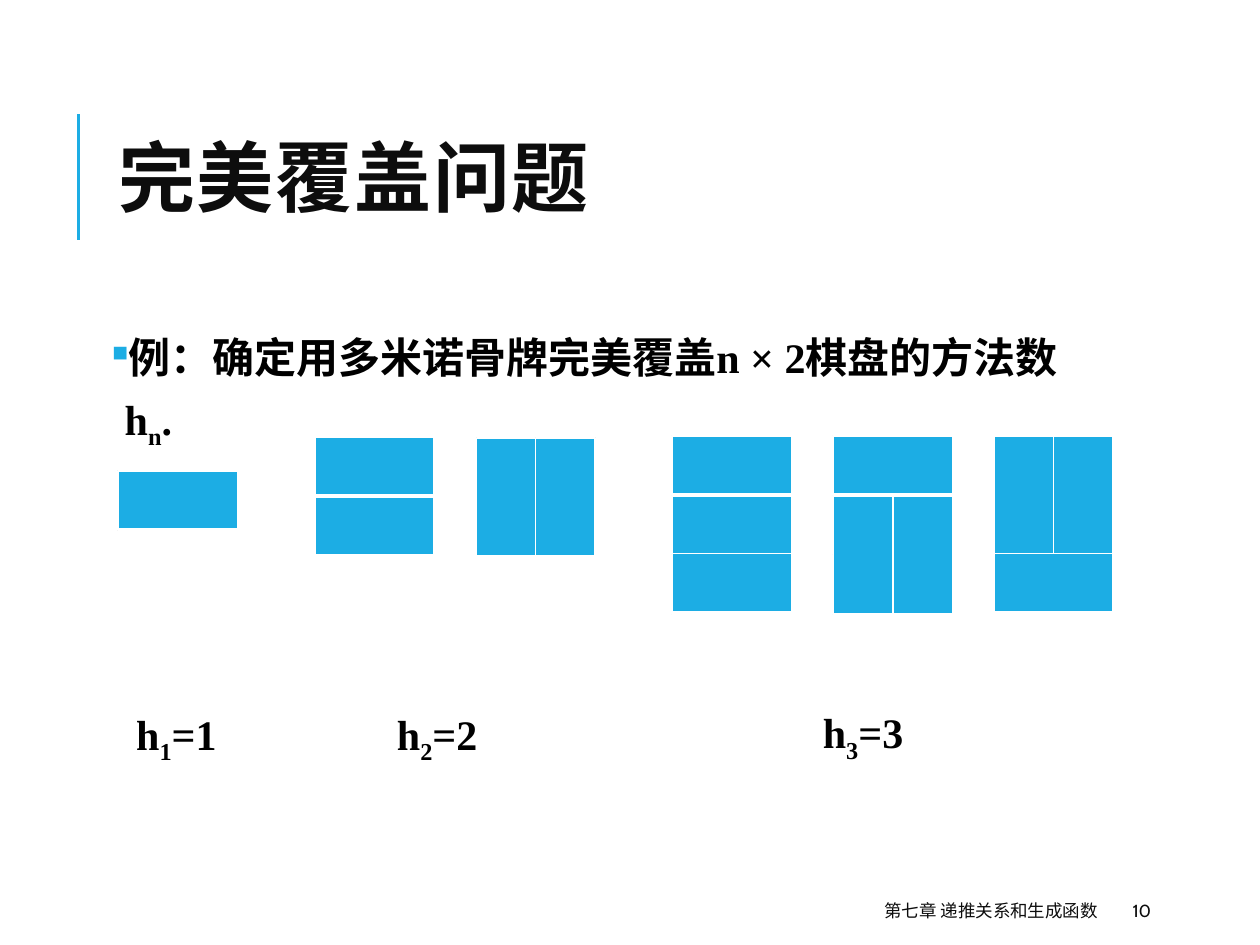
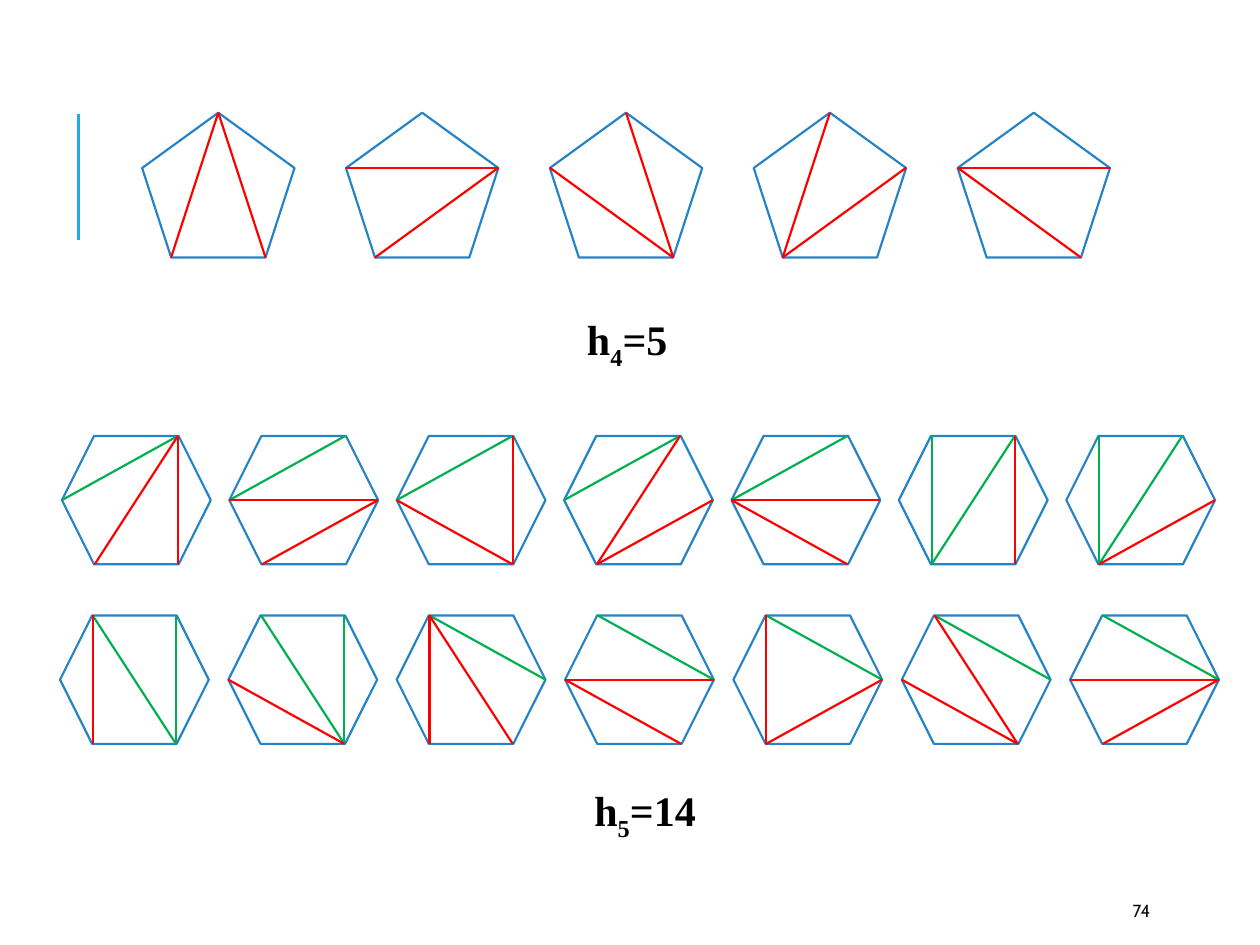
from dataclasses import dataclass
from typing import NamedTuple

from lxml.etree import SubElement
from pptx import Presentation
from pptx.dml.color import RGBColor
from pptx.enum.lang import MSO_LANGUAGE_ID
from pptx.enum.shapes import MSO_CONNECTOR, MSO_SHAPE
from pptx.enum.text import MSO_ANCHOR, PP_ALIGN
from pptx.oxml.ns import qn
from pptx.util import Pt


# Theme
@dataclass(frozen=True)
class Theme:
    accent: str = "1CADE4"
    outline: str = "2683C6"
    board: str = "DFE3E5"
    red: str = "FF0000"
    green: str = "00B050"
    black: str = "000000"
    ink: str = "0D0D0D"
    white: str = "FFFFFF"
    heading_font: str = "Cabin"
    body_font: str = "Times New Roman"
    title_size: float = 44
    body_size: float = 24
    footer_size: float = 10
    line_width: float = 1.25
    rail_width: float = 1.5


THEME = Theme()


class Box(NamedTuple):
    left: float
    top: float
    width: float
    height: float

    def lengths(self) -> list:
        return [Pt(v) for v in self]


class Formula(NamedTuple):
    base: str
    sub: str
    rest: str


class Tile(NamedTuple):
    row: int
    col: int
    upright: bool


class Board(NamedTuple):
    left: float
    top: float
    rows: int
    tiles: tuple[Tile, ...]


class Polygon(NamedTuple):
    shape: MSO_SHAPE
    width: float
    height: float
    corners: tuple[tuple[float, float], ...]  # as fractions of the box


class Cut(NamedTuple):
    """One triangulation: pairs of corner numbers for each colour."""
    green: tuple[str, ...]
    red: tuple[str, ...]


class CutRow(NamedTuple):
    polygon: Polygon
    left: float
    top: float
    pitch: float
    cuts: tuple[Cut, ...]


# Text
def add_text_box(s, box: Box, inset: float | None = None, middle: bool = False):
    tf = s.shapes.add_textbox(*box.lengths()).text_frame
    tf.word_wrap = True
    if middle:
        tf.vertical_anchor = MSO_ANCHOR.MIDDLE
    if inset is not None:
        tf.margin_left = tf.margin_right = Pt(inset)
        tf.margin_top = tf.margin_bottom = Pt(inset)
    return tf


def style_run(r, font: str, size: float, color: str, bold: bool = False) -> None:
    r.font.name = font
    r.font.size = Pt(size)
    r.font.bold = bold
    r.font.color.rgb = RGBColor.from_string(color)
    r.font.language_id = MSO_LANGUAGE_ID.SIMPLIFIED_CHINESE


def write_formula(p, formula: Formula) -> None:
    for part in formula:
        r = p.add_run()
        r.text = part
        style_run(r, THEME.body_font, THEME.body_size, THEME.black, bold=True)
        if part is formula.sub:
            r.font._element.set("baseline", "-25000")


def space_body(p) -> None:
    p.line_spacing = 1.2
    p.space_before = Pt(18)
    p.space_after = Pt(2)


def add_title(s, text: str) -> None:
    tf = add_text_box(s, Box(60.5, 46.1, 573.8, 118.1), middle=True)
    tf.text = text
    p = tf.paragraphs[0]
    p.line_spacing = 0.8
    r = p.runs[0]
    style_run(r, THEME.heading_font, THEME.title_size, THEME.ink, bold=True)
    r.font._element.set("spc", "100")


def add_statement(s, formula: Formula) -> None:
    tf = add_text_box(s, Box(60.5, 180, 573.8, 42.5), inset=3.6)
    p = tf.paragraphs[0]
    space_body(p)
    pPr = p._p.get_or_add_pPr()
    pPr.set("marL", str(Pt(7.2)))
    pPr.set("indent", str(Pt(-7.2)))
    color = SubElement(pPr, qn("a:buClr"))
    SubElement(color, qn("a:srgbClr"), val=THEME.accent)
    SubElement(pPr, qn("a:buSzPct"), val="52000")
    SubElement(pPr, qn("a:buChar"), char="■")
    write_formula(p, formula)


def add_footer_text(s, box: Box, text: str, align: PP_ALIGN) -> None:
    tf = add_text_box(s, box, middle=True)
    tf.text = text
    p = tf.paragraphs[0]
    p.alignment = align
    style_run(p.runs[0], THEME.heading_font, THEME.footer_size, THEME.ink)


# Lines and shared frame
def add_line(s, start: tuple[float, float], end: tuple[float, float],
             color: str, width: float) -> None:
    c = s.shapes.add_connector(MSO_CONNECTOR.STRAIGHT,
                               *(Pt(v) for v in (*start, *end)))
    c.line.color.rgb = RGBColor.from_string(color)
    c.line.width = Pt(width)
    SubElement(c._element.spPr, qn("a:effectLst"))


def new_slide(prs, number: str):
    s = prs.slides.add_slide(prs.slide_layouts[6])
    add_line(s, (44.9, 137), (44.9, 65), THEME.accent, THEME.rail_width)
    add_footer_text(s, Box(640.1, 509.5, 57.6, 21.6), number, PP_ALIGN.LEFT)
    return s


# Boards are grey grids; each domino on them is a single-cell table
CELL = 34.02
ROW_OFFSETS = (0, 34.3, 67.2)


def add_grid(s, box: Box, rows: int, cols: int, fill: str, border: str,
             bottom_width: float) -> None:
    table = s.shapes.add_table(rows, cols, *box.lengths()).table
    table.first_row = table.horz_banding = False
    for cell in table.iter_cells():
        tcPr = cell._tc.get_or_add_tcPr()
        for side in "LRTB":
            width = bottom_width if side == "B" else 1
            ln = SubElement(tcPr, qn(f"a:ln{side}"), w=str(Pt(width)))
            solid = SubElement(ln, qn("a:solidFill"))
            SubElement(solid, qn("a:srgbClr"), val=border)
        cell.fill.solid()
        cell.fill.fore_color.rgb = RGBColor.from_string(fill)


def add_board(s, board: Board) -> None:
    box = Box(board.left, board.top, 2 * CELL, board.rows * CELL)
    add_grid(s, box, board.rows, 2, THEME.board, THEME.black, 1)
    for tile in board.tiles:
        width, height = (CELL, 2 * CELL) if tile.upright else (2 * CELL, CELL)
        box = Box(board.left + tile.col * CELL,
                  board.top + ROW_OFFSETS[tile.row], width, height)
        add_grid(s, box, 1, 1, THEME.accent, THEME.white, 3)


def flat(row: int) -> tuple[Tile, ...]:
    return (Tile(row, 0, False),)


def pair(row: int) -> tuple[Tile, ...]:
    return Tile(row, 0, True), Tile(row, 1, True)


BOARDS = (
    Board(67.7, 269.1, 1, flat(0)),
    Board(180, 249.8, 2, flat(0) + flat(1)),
    Board(272, 250.5, 2, pair(0)),
    Board(384.3, 249.1, 3, flat(0) + flat(1) + flat(2)),
    Board(476.3, 249.1, 3, flat(0) + pair(1)),
    Board(568.1, 249.1, 3, pair(0) + flat(2)),
)
BOARD_LABELS = (
    (74.2, 394.6, Formula("h", "1", "=1")),
    (223.2, 394.6, Formula("h", "2", "=2")),
    (466.6, 393.8, Formula("h", "3", "=3")),
)


def build_cover_slide(prs) -> None:
    s = new_slide(prs, "10")
    add_title(s, "完美覆盖问题")
    add_statement(s, Formula("例：确定用多米诺骨牌完美覆盖n × 2棋盘的方法数h", "n", "."))
    add_footer_text(s, Box(285.8, 509.5, 348.5, 21.6),
                    "第七章 递推关系和生成函数", PP_ALIGN.RIGHT)
    for board in BOARDS:
        add_board(s, board)
    for left, top, formula in BOARD_LABELS:
        p = add_text_box(s, Box(left, top, 87.1, 42.5), inset=3.6).paragraphs[0]
        space_body(p)
        write_formula(p, formula)


# Triangulations: corners are numbered clockwise from the top (left)
PENTAGON = Polygon(MSO_SHAPE.REGULAR_PENTAGON, 87.1, 82.8, (
    (0.5, 0), (1, 0.38), (0.81, 1), (0.19, 1), (0, 0.38)))
HEXAGON = Polygon(MSO_SHAPE.HEXAGON, 85, 73.4, (
    (0.22, 0), (0.78, 0), (1, 0.5), (0.78, 1), (0.22, 1), (0, 0.5)))

CUT_ROWS = (
    CutRow(PENTAGON, 81.2, 64.4, 116.5, (
        Cut((), ("03", "02")), Cut((), ("14", "13")), Cut((), ("02", "24")),
        Cut((), ("13", "03")), Cut((), ("24", "14")))),
    CutRow(HEXAGON, 35.4, 249.1, 95.65, (
        Cut(("15",), ("14", "13")), Cut(("15",), ("25", "24")),
        Cut(("15",), ("13", "35")), Cut(("15",), ("24", "14")),
        Cut(("15",), ("35", "25")), Cut(("04", "14"), ("13",)),
        Cut(("04", "14"), ("24",)))),
    CutRow(HEXAGON, 34.3, 351.7, 96.2, (
        Cut(("03", "13"), ("04",)), Cut(("03", "13"), ("35",)),
        Cut(("02",), ("04", "03")), Cut(("02",), ("35", "25")),
        Cut(("02",), ("24", "04")), Cut(("02",), ("03", "35")),
        Cut(("02",), ("25", "24")))),
)
CUT_LABELS = (
    (Box(328.3, 175.7, 68.4, 36), Formula("h", "4", "=5")),
    (Box(332.6, 445, 95.8, 36), Formula("h", "5", "=14")),
)


def add_cut(s, polygon: Polygon, left: float, top: float, cut: Cut) -> None:
    box = Box(left, top, polygon.width, polygon.height)
    sp = s.shapes.add_shape(polygon.shape, *box.lengths())
    sp.shadow.inherit = False
    sp.fill.solid()
    sp.fill.fore_color.rgb = RGBColor.from_string(THEME.white)
    sp.line.color.rgb = RGBColor.from_string(THEME.outline)
    sp.line.width = Pt(THEME.line_width)
    points = [(left + x * box.width, top + y * box.height)
              for x, y in polygon.corners]
    for color, chords in ((THEME.green, cut.green), (THEME.red, cut.red)):
        for start, end in chords:
            add_line(s, points[int(start)], points[int(end)], color,
                     THEME.line_width)


def build_triangulation_slide(prs) -> None:
    s = new_slide(prs, "74")
    for row in CUT_ROWS:
        for i, cut in enumerate(row.cuts):
            add_cut(s, row.polygon, row.left + i * row.pitch, row.top, cut)
    for box, formula in CUT_LABELS:
        write_formula(add_text_box(s, box).paragraphs[0], formula)


def main() -> None:
    prs = Presentation()
    prs.slide_width, prs.slide_height = Pt(720), Pt(540)
    build_cover_slide(prs)
    build_triangulation_slide(prs)
    prs.save("out.pptx")


if __name__ == "__main__":
    main()
